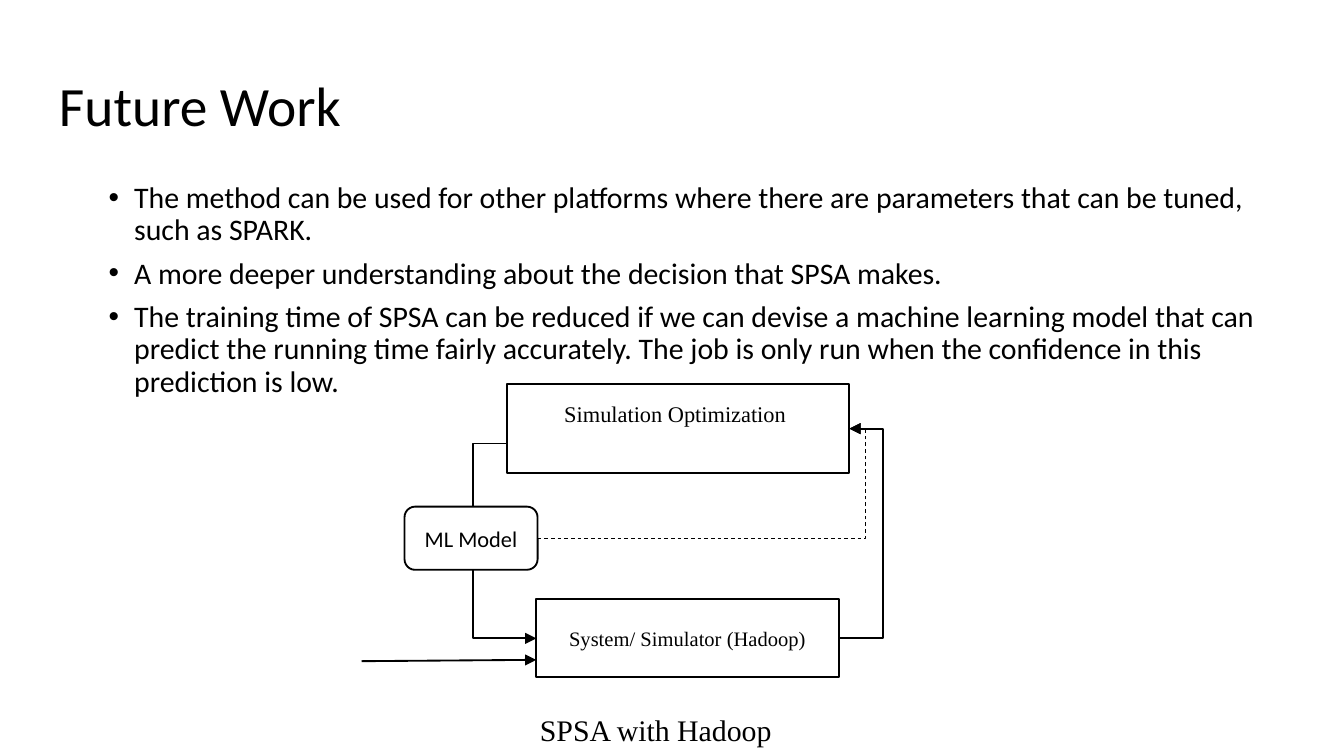
from lxml.etree import SubElement
from pptx import Presentation
from pptx.dml.color import RGBColor
from pptx.enum.dml import MSO_LINE
from pptx.enum.shapes import MSO_CONNECTOR, MSO_SHAPE
from pptx.enum.text import MSO_ANCHOR, PP_ALIGN
from pptx.oxml.ns import qn
from pptx.util import Inches, Pt

WIDTH = 10
HEIGHT = WIDTH * 9 / 16
MARGIN = 0.34
BLACK, WHITE = "000000", "FFFFFF"
SANS, SERIF = "Calibri", "Times New Roman"

TITLE = "Future Work"
BULLETS = [
    "The method can be used for other platforms where there are parameters that can be tuned, such as SPARK.",
    "A more deeper understanding about the decision that SPSA makes.",
    "The training time of SPSA can be reduced if we can devise a machine learning model that can predict "
    "the running time fairly accurately. The job is only run when the confidence in this prediction is low.",
]
OPTIMIZER = "Simulation Optimization"
SYSTEM = "System/ Simulator (Hadoop)"
MODEL = "ML Model"
CAPTION = "SPSA with Hadoop"

deck = Presentation()
deck.slide_width, deck.slide_height = Inches(WIDTH), Inches(HEIGHT)
page = deck.slides.add_slide(deck.slide_layouts[6])


def color(value):
    return RGBColor.from_string(value)


def write(box, *texts, size, font=SANS, align=PP_ALIGN.LEFT, anchor=MSO_ANCHOR.TOP,
          line_spacing=None, gap=0, bullet=False, inset=None):
    frame = box.text_frame
    frame.word_wrap = True
    frame.vertical_anchor = anchor
    if inset is not None:
        frame.margin_left = frame.margin_right = Inches(inset)
        frame.margin_top = frame.margin_bottom = Inches(inset)
    for index, text in enumerate(texts):
        para = frame.add_paragraph() if index else frame.paragraphs[0]
        para.alignment = align
        if line_spacing:
            para.line_spacing = line_spacing
        if index and gap:
            para.space_before = Pt(gap)
        if bullet:
            properties = para._p.get_or_add_pPr()
            properties.set("marL", str(Inches(0.56)))
            properties.set("indent", str(Inches(-0.19)))
            SubElement(properties, qn("a:buFont")).set("typeface", "Arial")
            SubElement(properties, qn("a:buChar")).set("char", "•")
        span = para.add_run()
        span.text = text
        span.font.size, span.font.name = Pt(size), font
        span.font.color.rgb = color(BLACK)


def add_text(area, *texts, **style):
    write(page.shapes.add_textbox(*map(Inches, area)), *texts, **style)


def add_block(area, text=None, kind=MSO_SHAPE.RECTANGLE, fill=None, **style):
    block = page.shapes.add_shape(kind, *map(Inches, area))
    block.shadow.inherit = False
    if fill:
        block.fill.solid()
        block.fill.fore_color.rgb = color(fill)
    else:
        block.fill.background()
    block.line.color.rgb = color(BLACK)
    block.line.width = Pt(1)
    if text:
        write(block, text, align=PP_ALIGN.CENTER, anchor=MSO_ANCHOR.MIDDLE, **style)
    return block


def add_arrow(start, end, turn=None, source=None, target=None, width=1, dash=None):
    kind = MSO_CONNECTOR.STRAIGHT if turn is None else MSO_CONNECTOR.ELBOW
    arrow = page.shapes.add_connector(kind, *map(Inches, start + end))
    if source:
        arrow.begin_connect(*source)
    if target:
        arrow.end_connect(*target)
    arrow.line.color.rgb = color(BLACK)
    arrow.line.width = Pt(width)
    if dash:
        arrow.line.dash_style = dash
    SubElement(arrow.line._get_or_add_ln(), qn("a:tailEnd")).set("type", "triangle")
    properties = arrow._element.spPr
    SubElement(properties, qn("a:effectLst"))
    if turn is not None:
        share = (Inches(turn) - arrow.begin_x) / (arrow.end_x - arrow.begin_x)
        guides = properties.find(qn("a:prstGeom")).get_or_add_avLst()
        guide = SubElement(guides, qn("a:gd"))
        guide.set("name", "adj1")
        guide.set("fmla", f"val {round(share * 100000)}")


content_width = WIDTH - 2 * MARGIN
add_text((MARGIN, 0.49, content_width, 0.63), TITLE, size=29.7,
         anchor=MSO_ANCHOR.MIDDLE, line_spacing=0.9, inset=0.1)
add_text((MARGIN, 1.26, content_width, 1.88), *BULLETS, size=16,
         line_spacing=0.9, gap=6, bullet=True, inset=0.1)

system = add_block((3.99, 4.46, 2.25, 0.58), SYSTEM, size=11, font=SERIF)
optimizer = add_block((3.77, 2.86, 2.55, 0.66))
add_text((4.1, 2.93, 2.04, 0.3), OPTIMIZER, size=12, font=SERIF)

add_arrow((3.77, 3.3), (3.99, 4.75), turn=3.52, target=(system, 1))
add_arrow((6.24, 4.75), (6.32, 3.19), turn=6.57, source=(system, 3), target=(optimizer, 3))
add_arrow((2.69, 4.92), (3.99, 4.91))
add_text((2.9, 5.25, 3.96, 0.37), CAPTION, size=16, font=SERIF, align=PP_ALIGN.CENTER)

model = add_block((3.01, 3.77, 0.99, 0.47), MODEL, MSO_SHAPE.ROUNDED_RECTANGLE, fill=WHITE, size=12)
add_arrow((4, 4), (6.32, 3.19), turn=6.44, source=(model, 3), target=(optimizer, 3),
          width=0.5, dash=MSO_LINE.DASH)

deck.save("out.pptx")
